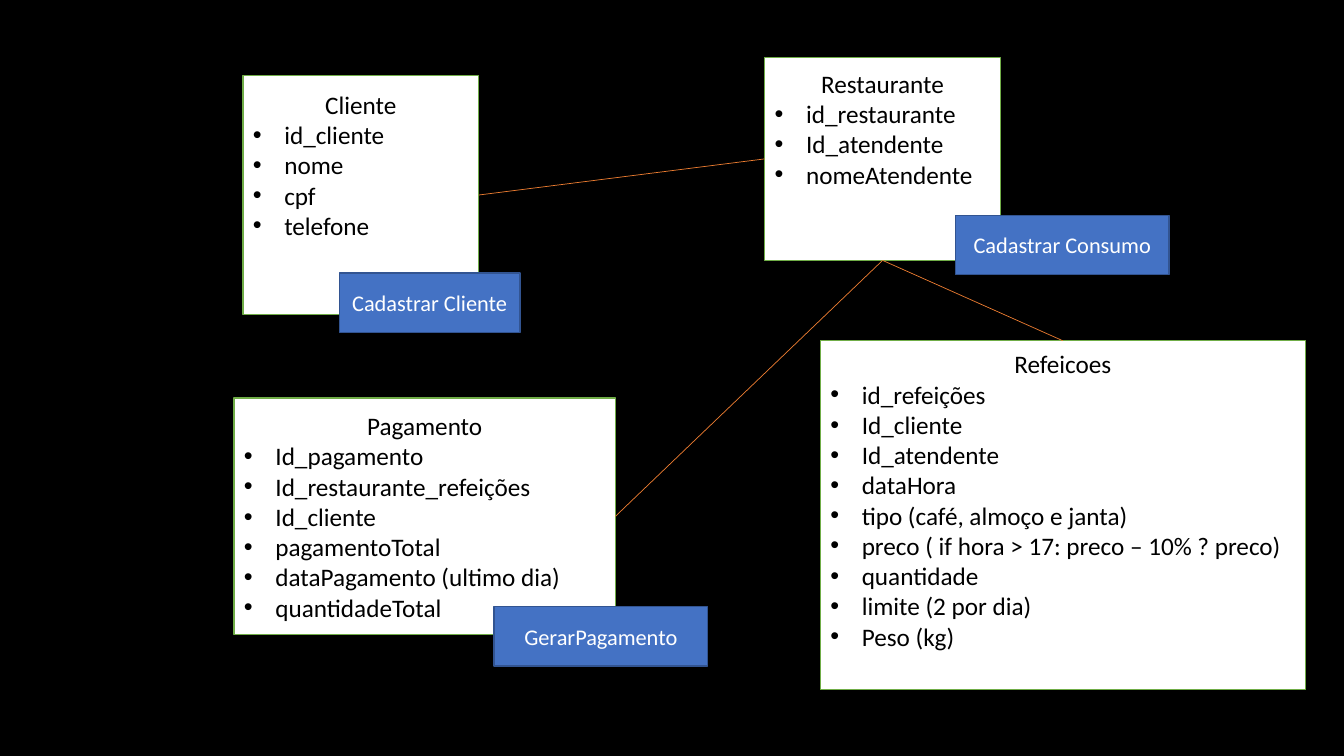
from lxml.etree import SubElement
from pptx import Presentation
from pptx.dml.color import RGBColor
from pptx.enum.shapes import MSO_CONNECTOR as Connector, MSO_SHAPE as Shape
from pptx.enum.text import MSO_ANCHOR as Anchor, PP_ALIGN as Align
from pptx.oxml.ns import qn
from pptx.util import Pt

# name: (left, top, width, height), attributes, free lines kept below the list
ENTITIES = {
    "Cliente": ((173.5, 54, 168.5, 170.6),
                ["id_cliente", "nome", "cpf", "telefone"], 2),
    "Refeicoes": ((586, 243.4, 346.4, 249),
                  ["id_refeições", "Id_cliente", "Id_atendente", "dataHora",
                   "tipo (café, almoço e janta)",
                   "preco ( if hora > 17: preco – 10% ? preco)",
                   "quantidade", "limite (2 por dia)", "Peso (kg)"], 1),
    "Restaurante": ((546.2, 41, 168.5, 145),
                    ["id_restaurante", "Id_atendente", "nomeAtendente"], 2),
    "Pagamento": ((167.2, 284.4, 272.4, 168.8),
                  ["Id_pagamento", "Id_restaurante_refeições", "Id_cliente",
                   "pagamentoTotal", "dataPagamento (ultimo dia)", "quantidadeTotal"], 0),
}
TOP, LEFT, BOTTOM, RIGHT = range(4)
RELATIONS = [
    ("Cliente", RIGHT, "Restaurante", LEFT),
    ("Restaurante", BOTTOM, "Refeicoes", TOP),
    ("Restaurante", BOTTOM, "Pagamento", RIGHT),
]
ACTIONS = [
    ("Cadastrar Cliente", (242.4, 195, 129, 42.4)),
    ("Cadastrar Consumo", (682.4, 153.8, 152.8, 42.4)),
    ("GerarPagamento", (352.8, 433.4, 152.8, 42.4)),
]
LINE_HEIGHT = 21.6
INDENT = 22.5


def color(value):
    return RGBColor.from_string(value)


def add_box(box, fill, border):
    rect = slide.shapes.add_shape(Shape.RECTANGLE, *map(Pt, box))
    rect.shadow.inherit = False
    rect.fill.solid()
    rect.fill.fore_color.rgb = color(fill)
    rect.line.color.rgb = color(border)
    rect.line.width = Pt(1)
    rect.text_frame.word_wrap = True
    rect.text_frame.vertical_anchor = Anchor.MIDDLE
    return rect


def write(paragraph, text, size, ink, align=Align.CENTER):
    paragraph.alignment = align
    run = paragraph.add_run()
    run.text = text
    run.font.name = "Calibri"
    run.font.size = Pt(size)
    run.font.color.rgb = color(ink)


def add_bullet(paragraph):
    props = paragraph._p.get_or_add_pPr()
    props.set("marL", str(Pt(INDENT)))
    props.set("indent", str(-Pt(INDENT)))
    SubElement(props, qn("a:buFont"), typeface="Arial")
    SubElement(props, qn("a:buChar"), char="•")


def add_entity(name, box, attributes, free_lines):
    entity = add_box(box, "FFFFFF", "70AD47")
    frame = entity.text_frame
    frame.margin_bottom = Pt(3.6 + free_lines * LINE_HEIGHT)
    write(frame.paragraphs[0], name, 18, "000000")
    for attribute in attributes:
        paragraph = frame.add_paragraph()
        write(paragraph, attribute, 18, "000000", Align.LEFT)
        add_bullet(paragraph)
    return entity


def add_relation(start, start_side, end, end_side):
    relation = slide.shapes.add_connector(Connector.STRAIGHT, 0, 0, 0, 0)
    relation.begin_connect(start, start_side)
    relation.end_connect(end, end_side)
    relation.line.color.rgb = color("ED7D31")
    relation.line.width = Pt(0.5)
    SubElement(relation._element.spPr, qn("a:effectLst"))


prs = Presentation()
prs.slide_width, prs.slide_height = Pt(960), Pt(540)
slide = prs.slides.add_slide(prs.slide_layouts[6])
slide.background.fill.solid()
slide.background.fill.fore_color.rgb = color("000000")

entities = {name: add_entity(name, *details) for name, details in ENTITIES.items()}
for start, start_side, end, end_side in RELATIONS:
    add_relation(entities[start], start_side, entities[end], end_side)
for label, box in ACTIONS:
    action = add_box(box, "4472C4", "325491")
    write(action.text_frame.paragraphs[0], label, 16, "FFFFFF")

prs.save("out.pptx")
